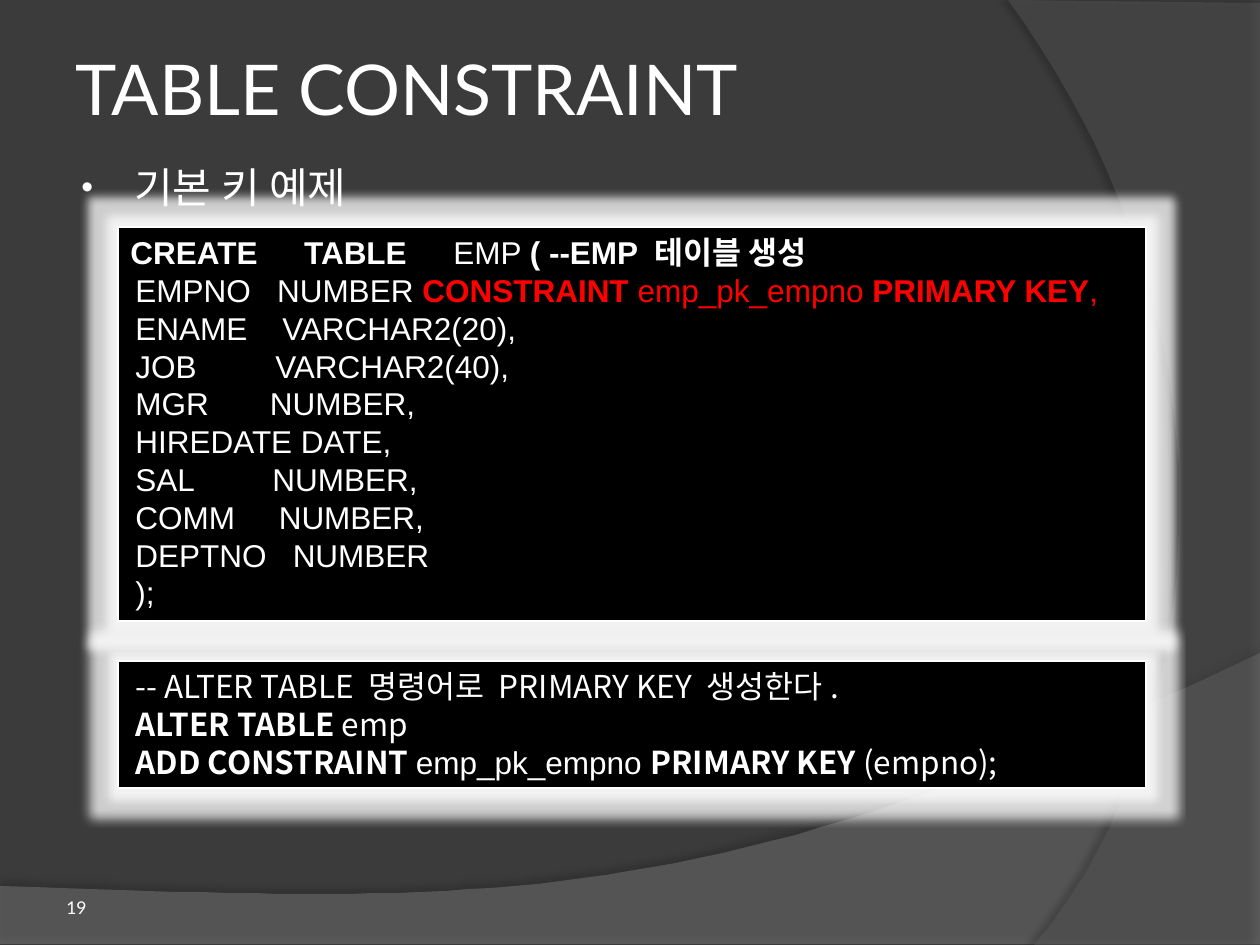
from pptx import Presentation
from pptx.dml.color import RGBColor
from pptx.enum.shapes import MSO_SHAPE as Shape
from pptx.enum.text import MSO_ANCHOR as Anchor
from pptx.oxml import parse_xml
from pptx.oxml.ns import nsdecls, qn
from pptx.util import Emu, Pt
from lxml.etree import SubElement

UNIT = 914400 / 126
WHITE, RED, BLACK = "FFFFFF", "FF0000", "000000"
HANGUL = "Noto Sans CJK KR"


def px(n):
    return Emu(round(n * UNIT))


def rgb(code):
    return RGBColor.from_string(code)


def curve(a, b, c, d, steps=48):
    for i in range(1, steps + 1):
        t = i / steps
        u = 1 - t
        yield tuple(u**3 * p + 3 * u * u * t * q + 3 * u * t * t * r + t**3 * s
                    for p, q, r, s in zip(a, b, c, d))


class Deck:
    def __init__(self, back):
        self.show = Presentation()
        self.show.slide_width, self.show.slide_height = px(1260), px(945)
        self.slide = self.show.slides.add_slide(self.show.slide_layouts[6])
        fill = self.slide.background.fill
        fill.solid()
        fill.fore_color.rgb = rgb(back)

    def effect(self, shape, xml):
        shape.shadow.inherit = False
        shape._element.spPr.find(qn("a:effectLst")).append(parse_xml(xml))

    def wave(self, line, bend, color, alpha, dark, dist, angle):
        path = self.slide.shapes.build_freeform(*line[0], scale=UNIT)
        path.add_line_segments(line[1:] + list(curve(line[-1], *bend)), close=True)
        shape = path.convert_to_shape()
        shape.fill.solid()
        shape.fill.fore_color.rgb = rgb(color)
        tint = shape.fill._xPr.find(qn("a:solidFill"))[0]
        SubElement(tint, qn("a:alpha")).set("val", str(alpha * 1000))
        shape.line.fill.background()
        self.effect(shape, f'<a:outerShdw {nsdecls("a")} blurRad="{Pt(4)}" '
                    f'dist="{Pt(dist)}" dir="{angle * 60000}" rotWithShape="0">'
                    f'<a:srgbClr val="{BLACK}"><a:alpha val="{dark * 1000}"/>'
                    '</a:srgbClr></a:outerShdw>')

    def style(self, run, size, face, color=WHITE, bold=False):
        font = run.font
        font.size, font.name, font.bold = Pt(size), face, bold
        font.color.rgb = rgb(color)
        SubElement(run._r.get_or_add_rPr(), qn("a:ea")).set("typeface", HANGUL)

    def text(self, box, words, size, face, anchor=Anchor.TOP):
        shape = self.slide.shapes.add_textbox(*map(px, box))
        frame = shape.text_frame
        frame.word_wrap = True
        frame.vertical_anchor = anchor
        frame.text = words
        para = frame.paragraphs[0]
        self.style(para.runs[0], size, face)
        return frame, para

    def bullet(self, para, left, hang):
        para.space_before = Pt(4.8)
        prop = para._p.get_or_add_pPr()
        prop.set("marL", str(px(left)))
        prop.set("indent", str(-px(hang)))
        tint = SubElement(prop, qn("a:buClr"))
        SubElement(tint, qn("a:srgbClr")).set("val", WHITE)
        SubElement(prop, qn("a:buSzPct")).set("val", "80000")
        SubElement(prop, qn("a:buFont")).set("typeface", "Arial")
        SubElement(prop, qn("a:buChar")).set("char", "•")

    def code(self, box, lines, face, flush=()):
        shape = self.slide.shapes.add_shape(Shape.RECTANGLE, *map(px, box))
        shape.fill.solid()
        shape.fill.fore_color.rgb = rgb(BLACK)
        shape.line.color.rgb = rgb(WHITE)
        shape.line.width = Pt(1.5)
        self.effect(shape, f'<a:glow {nsdecls("a")} rad="{Pt(11)}">'
                    f'<a:srgbClr val="{WHITE}"><a:alpha val="75000"/>'
                    '</a:srgbClr></a:glow>')
        frame = shape.text_frame
        frame.word_wrap = True
        frame.vertical_anchor = Anchor.TOP
        for i, line in enumerate(lines):
            para = frame.add_paragraph() if i else frame.paragraphs[0]
            para.line_spacing = Pt(21.6)
            prop = para._p.get_or_add_pPr()
            prop.set("algn", "l")
            prop.set("marL", str(px(0 if i in flush else 5)))
            for words, look in line:
                run = para.add_run()
                run.text = words
                self.style(run, 18, **{"face": face, **look})


BOLD, HOT = {"bold": True}, {"color": RED}
deck = Deck("3B3B3B")
deck.wave([(0, 886), (0, 944), (1260, 944), (1260, 653)],
          [(704, 917), (493, 903), (0, 886)], "7F7F7F", 45, 35, 3.5, 270)
deck.wave([(1260, 3), (1260, 945), (1034, 945)],
          [(1178, 780), (1283, 378), (1008, 0)], "5E5E5E", 40, 45, 4, 180)

frame, para = deck.text((64, 155, 1134, 764), "기본 키 예제", 24, "Arial")
deck.bullet(para, 58, 53)
frame, para = deck.text((54, 879, 139, 39), "19", 10, "Lato", Anchor.BOTTOM)
frame.margin_bottom = 0

fields = ["ENAME    VARCHAR2(20), ", "JOB         VARCHAR2(40), ",
          "MGR       NUMBER, ", "HIREDATE DATE, ", "SAL         NUMBER, ",
          "COMM     NUMBER, ", "DEPTNO   NUMBER", ");"]
create = [
    [("CREATE\u3000TABLE\u3000", BOLD), ("EMP ", {}),
     ("( --EMP 테이블 생성", BOLD)],
    [("EMPNO   NUMBER ", {}), ("CONSTRAINT ", BOLD | HOT),
     ("emp_pk_empno ", HOT), ("PRIMARY KEY", BOLD | HOT), (", ", HOT)],
] + [[(field, {})] for field in fields]
alter = [
    [("-- ALTER TABLE 명령어로 PRIMARY KEY 생성한다.", {})],
    [("ALTER TABLE ", BOLD), ("emp ", {})],
    [("ADD CONSTRAINT ", BOLD), ("emp_pk_empno ", {"face": "Arial"}),
     ("PRIMARY KEY", BOLD), (" (empno); ", {})],
]
deck.code((118, 227, 1028, 394), create, "Arial", flush=(0,))
deck.code((118, 661, 1028, 127), alter, HANGUL)
deck.text((63, 38, 1134, 99), "TABLE CONSTRAINT", 40, "Lato", Anchor.MIDDLE)

deck.show.save("out.pptx")
